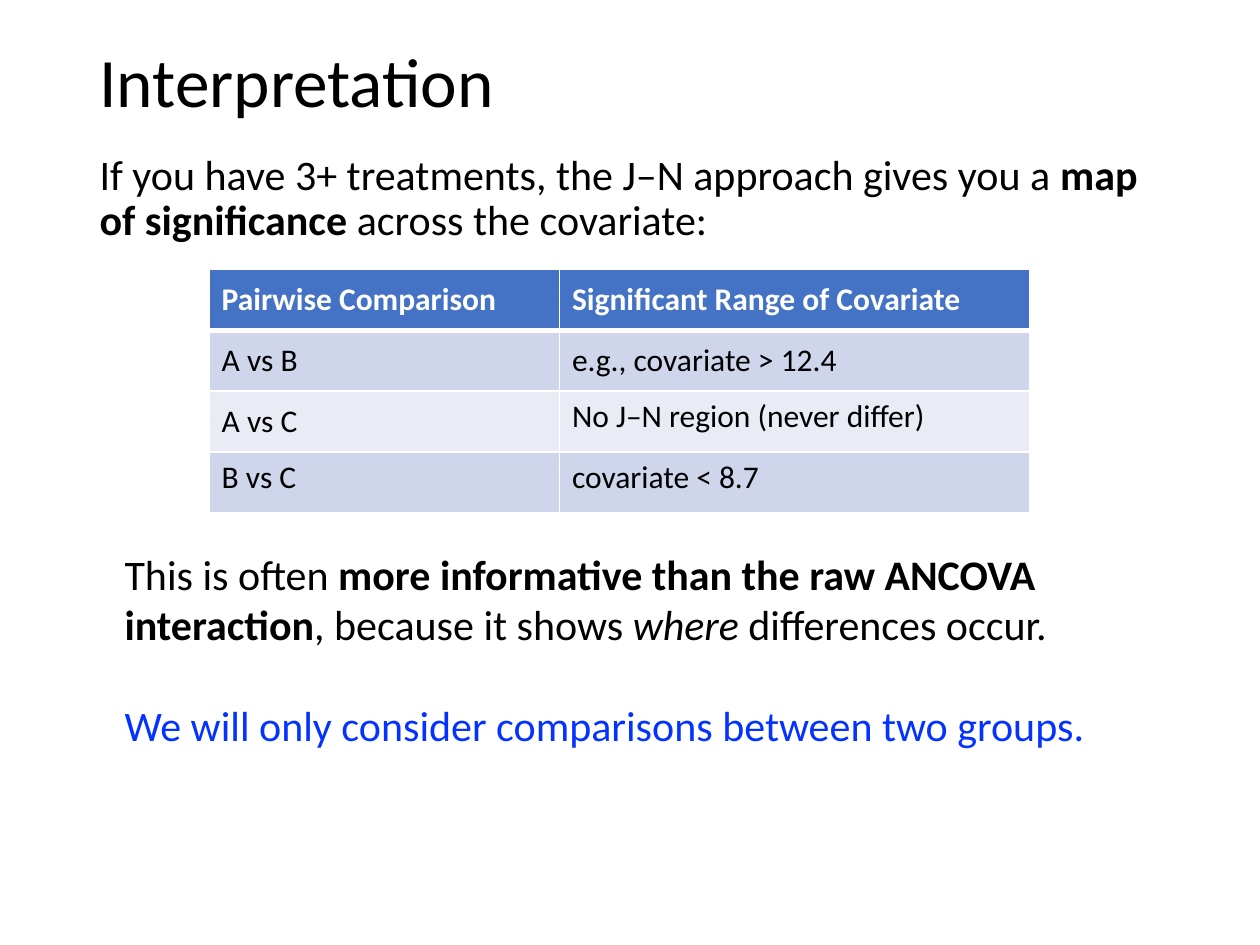
from lxml import etree
from pptx import Presentation
from pptx import util as u
from pptx.dml.color import RGBColor
from pptx.enum import text
from pptx.oxml import ns

BLACK = RGBColor(0x00, 0x00, 0x00)
WHITE = RGBColor(0xFF, 0xFF, 0xFF)
HEAD = RGBColor(0x44, 0x72, 0xC4)
BANDS = RGBColor(0xE9, 0xEB, 0xF5), RGBColor(0xCF, 0xD5, 0xEA)
BLUE = RGBColor(0x04, 0x32, 0xFF)
TOP, MID = text.MSO_ANCHOR.TOP, text.MSO_ANCHOR.MIDDLE


class Deck:
    """Holds the style and current slide on a grid of 100 columns by 75 rows."""

    font = "Calibri"
    size = 24

    def __init__(self):
        self.prs = Presentation()
        self.prs.slide_width, self.prs.slide_height = u.Inches(10), u.Inches(7.5)
        self.unit = self.prs.slide_width / 100
        self.slide = self.prs.slides.add_slide(self.prs.slide_layouts[1])

    def grid(self, *spans):
        return [round(n * self.unit) for n in spans]

    def fill_par(self, par, runs, size=None, color=BLACK):
        for words, mark in runs:
            run = par.add_run()
            run.text = words
            font = run.font
            font.name, font.size = self.font, u.Pt(size or self.size)
            font.bold, font.italic = mark == "b", mark == "i"
            font.color.rgb = color

    def holder(self, idx, box, runs, size=None, anchor=TOP, before=0):
        shape = self.slide.placeholders[idx]
        shape.left, shape.top, shape.width, shape.height = self.grid(*box)
        frame = shape.text_frame
        frame.auto_size = text.MSO_AUTO_SIZE.NONE
        frame.vertical_anchor = anchor
        par = frame.paragraphs[0]
        par.alignment = text.PP_ALIGN.LEFT
        par.line_spacing, par.space_before = 0.9, u.Pt(before)
        props = par._p.get_or_add_pPr()
        props.set("marL", "0")
        props.set("indent", "0")
        etree.SubElement(props, ns.qn("a:buNone"))
        self.fill_par(par, runs, size)

    def note(self, box, pars, gap):
        frame = self.slide.shapes.add_textbox(*self.grid(*box)).text_frame
        frame.word_wrap = True
        for i, (runs, color) in enumerate(pars):
            par = frame.add_paragraph() if i else frame.paragraphs[0]
            par.space_before = u.Pt(gap if i else 0)
            self.fill_par(par, runs, color=color)

    def edge(self, cell, side, width):
        line = etree.SubElement(cell._tc.get_or_add_tcPr(), ns.qn(f"a:ln{side}"), w=str(u.Pt(width)))
        fill = etree.SubElement(line, ns.qn("a:solidFill"))
        etree.SubElement(fill, ns.qn("a:srgbClr"), val=str(WHITE))

    def table(self, box, cols, rows, tops, size=18):
        grid = self.slide.shapes.add_table(len(rows), len(cols), *self.grid(*box)).table
        for col, wide in zip(grid.columns, self.grid(*cols)):
            col.width = wide
        for r, row in enumerate(rows):
            for c, words in enumerate(row):
                cell = grid.cell(r, c)
                for side in "LRTB":
                    thick = (r, side) in ((0, "B"), (1, "T"))
                    self.edge(cell, side, 3 if thick else 1)
                cell.fill.solid()
                cell.fill.fore_color.rgb = BANDS[r % 2] if r else HEAD
                cell.vertical_anchor = TOP if (r, c) in tops else MID
                run = [(words, "" if r else "b")]
                self.fill_par(cell.text_frame.paragraphs[0], run, size, BLACK if r else WHITE)

    def save(self):
        self.prs.save("out.pptx")


def main():
    deck = Deck()
    deck.holder(0, (6.9, 4, 86.2, 5.5), [("Interpretation", "")], 39.6, MID)
    deck.holder(1, (6.9, 11.7, 86.2, 9.2), [
        ("If you have 3+ treatments, the J–N approach gives you a ", ""),
        ("map of significance", "b"),
        (" across the covariate:", ""),
    ], before=10)
    deck.table((16.6, 21.4, 65.1, 19.3), (27.8, 37.3), [
        ("Pairwise Comparison", "Significant Range of Covariate"),
        ("A vs B", "e.g., covariate > 12.4"),
        ("A vs C", "No J–N region (never differ)"),
        ("B vs C", "covariate < 8.7"),
    ], tops={(2, 1), (3, 0), (3, 1)})
    deck.note((8.9, 43, 80.4, 17.2), [
        ([
            ("This is often ", ""),
            ("more informative than the raw ANCOVA interaction", "b"),
            (", because it shows ", ""),
            ("where", "i"),
            (" differences occur.", ""),
        ], BLACK),
        ([("We will only consider comparisons between two groups.", "")], BLUE),
    ], gap=29)
    deck.save()


if __name__ == "__main__":
    main()
